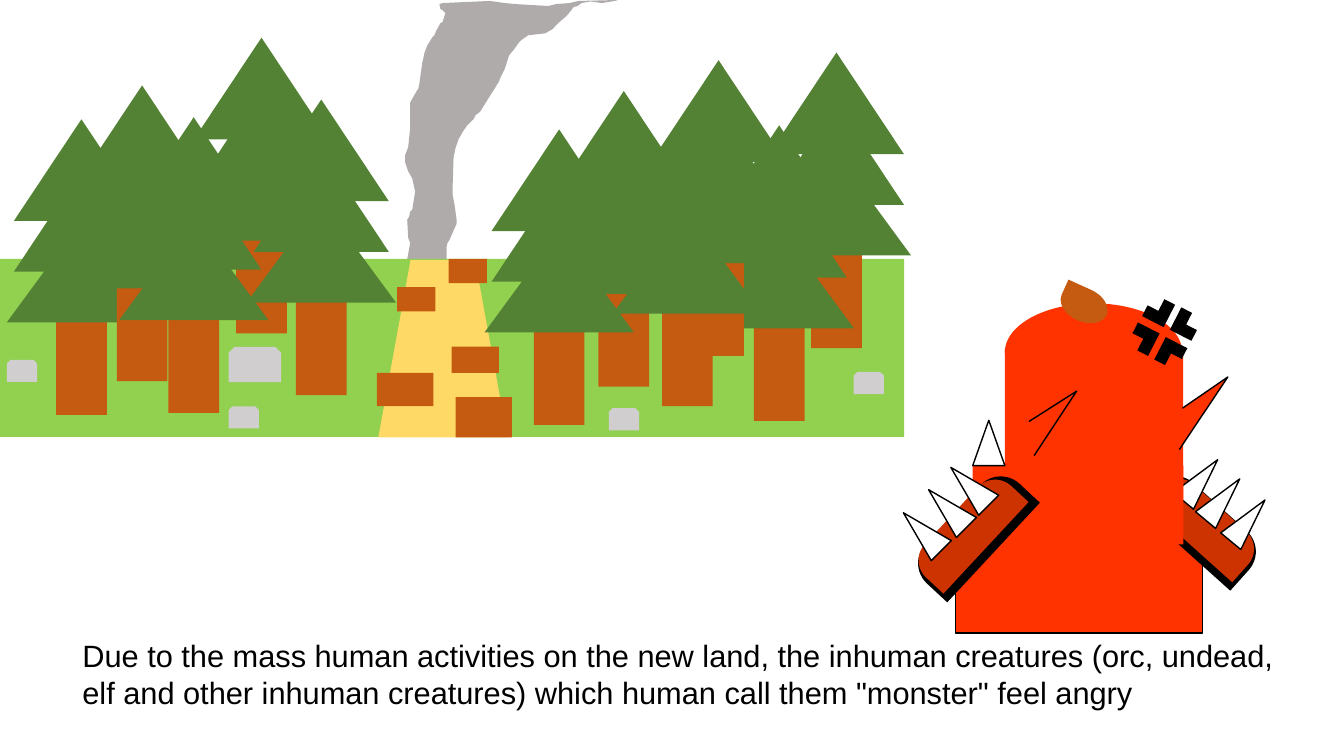
"""Build a slide with a forest road and an angry monster above one caption."""
import pptx
import pptx.dml.color
import pptx.enum.shapes
import pptx.enum.text
import pptx.util

Pt = pptx.util.Pt
RGBColor = pptx.dml.color.RGBColor
SHAPE = pptx.enum.shapes.MSO_SHAPE

BLACK = RGBColor(0x00, 0x00, 0x00)
WHITE = RGBColor(0xFF, 0xFF, 0xFF)
SMOKE = RGBColor(0xAF, 0xAB, 0xAB)
GRASS = RGBColor(0x92, 0xD0, 0x50)
LEAVES = RGBColor(0x54, 0x82, 0x35)
WOOD = RGBColor(0xC5, 0x5A, 0x11)
ROAD = RGBColor(0xFF, 0xD9, 0x66)
STONE = RGBColor(0xD0, 0xCE, 0xCE)
SKIN = RGBColor(0xFF, 0x33, 0x00)
ARM = RGBColor(0xCC, 0x33, 0x00)


def write(shapes, text, left, top, width, height, size=22, font="Arial", color=BLACK):
    box = shapes.add_textbox(Pt(left), Pt(top), Pt(width), Pt(height))
    box.text_frame.word_wrap = True
    box.text_frame.auto_size = pptx.enum.text.MSO_AUTO_SIZE.SHAPE_TO_FIT_TEXT
    span = box.text_frame.paragraphs[0].add_run()
    span.text = text
    span.font.size = Pt(size)
    span.font.name = font
    span.font.color.rgb = color


def paint(shape, fill, outlined=False):
    shape.shadow.inherit = False
    shape.fill.solid()
    shape.fill.fore_color.rgb = fill
    if outlined:
        shape.line.color.rgb = BLACK
        shape.line.width = Pt(1)
    else:
        shape.line.fill.background()


deck = pptx.Presentation()
deck.slide_width = Pt(960)
deck.slide_height = Pt(540)
page = deck.slides.add_slide(deck.slide_layouts[6])

write(page.shapes,
      "Due to the mass human activities on the new land, the inhuman creatures "
      "(orc, undead, elf and other inhuman creatures) which human call them "
      "\"monster\" feel angry", 51.8, 451.4, 893.5, 60.5)

sky = page.shapes.add_group_shape()
forest = page.shapes.add_group_shape()
monster = page.shapes.add_group_shape()
face = page.shapes.add_group_shape()

smoke_outline = [
    (288, 197.3), (310.3, 198), (323.3, 195.8), (322.6, 193), (320.4, 190.8),
    (320.4, 187.9), (319, 185), (319, 176.4), (319.7, 173.5), (321.1, 171.4),
    (323.3, 166.3), (326.2, 159.8), (326.2, 157), (324.7, 146.2), (323.3, 139),
    (323.3, 134.6), (324, 112.3), (325.4, 105.8), (327.6, 99.4), (330.5, 94.3),
    (333.4, 90), (338.4, 85), (339.8, 82.1), (342, 80.6), (343.4, 79.2),
    (345.6, 75.6), (349.2, 69.8), (352.8, 64.1), (356.4, 58.3), (357.8, 54.7),
    (360.7, 49), (363.6, 39.6), (367.2, 35.3), (370.8, 30.2), (372.2, 28.8),
    (377.3, 25.2), (389.5, 23.8), (394.6, 20.9), (396.7, 18.7), (399.6, 15.8),
    (404.6, 11.5), (408.2, 7.2), (409.7, 5), (412.6, 4.3), (415.4, 2.2),
    (422, 1), (429.8, 2.2), (439.2, 0.7), (441.4, 0), (413.3, 0.7),
    (406.8, 2.2), (397.4, 2.9), (391.7, 4.3), (367.9, 2.9), (360.7, 2.2),
    (349.9, 0.7), (316.1, 2.2), (313.9, 2.9), (314.6, 6.5), (316.1, 7.2),
    (318.2, 9.4), (316.1, 15.8), (314.6, 16.6), (311.8, 21.6), (310.3, 25.2),
    (308.9, 26.6), (305.3, 32.4), (303.1, 38.2), (302.4, 41.8), (301.7, 44.6),
    (299.5, 60.5), (298.8, 63.4), (297.4, 65.5), (294.5, 70.6), (293, 73.4),
    (293, 91.4), (292.3, 98.6), (291.6, 105.1), (289.4, 110.9), (289.4, 115.9),
    (291.6, 122.4), (294.5, 127.4), (295.9, 133.9), (296.6, 136.8),
    (294.5, 149.8), (293, 151.2), (292.3, 154.8), (290.9, 157), (291.6, 169.9),
    (293, 173.5), (291.6, 181.4), (290.9, 185), (289.4, 190.8), (289.4, 194.4),
]
left_eye = [(735.1, 301), (769, 279.4), (738.7, 325.4)]
right_eye = [(844.6, 291.6), (877, 269.3), (842.4, 321.1)]

forest_parts = [
    (SHAPE.RECTANGLE, 0, 185, 645.8, 127.1, GRASS),
    (SHAPE.TRAPEZOID, 270.2, 185.8, 92.2, 126.7, ROAD),
]
tree_tops = [(58.2, 85.2), (101.5, 61), (186.8, 26.9), (138.4, 83.7),
             (229.5, 71.1), (597.5, 37.5), (556.6, 89.5), (445.6, 65),
             (513.3, 43), (491, 79), (399.4, 92.4)]
for center, top in tree_tops:
    forest_parts.append((SHAPE.RECTANGLE, center - 18.1, top + 116.2, 36.2, 95, WOOD))
    for tier, width in enumerate((96.5, 96.5, 106.6)):
        forest_parts.append((SHAPE.ISOSCELES_TRIANGLE, center - width / 2,
                             top + 36.2 * tier, width, 72.6, LEAVES))
for brick in [(269.3, 266.4, 40.3, 23.8), (325.4, 283.7, 40.3, 28.8),
              (322.6, 247.7, 33.8, 18.7), (283.7, 205.2, 27.4, 17.3),
              (320.4, 185, 27.4, 17.3)]:
    forest_parts.append((SHAPE.RECTANGLE, *brick, WOOD))
for stone in [(163.4, 290.2, 21.6, 15.8), (609.8, 265.7, 21.6, 15.8),
              (5, 257, 21.6, 15.8), (163.4, 247.7, 37.4, 25.2),
              (434.9, 291.6, 21.6, 15.8)]:
    forest_parts.append((SHAPE.SNIP_2_SAME_RECTANGLE, *stone, STONE))

monster_parts = [
    (SHAPE.RECTANGLE, 682.6, 368.6, 176.4, 83.5, SKIN, True),
    (SHAPE.ROUND_2_SAME_RECTANGLE, 812.9, 357.1, 90.7, 39.6, BLACK, False, 41.9),
    (SHAPE.ROUND_2_SAME_RECTANGLE, 818.6, 358.6, 83.5, 33.8, ARM, False, 41.9),
]
for left, top in [(848.2, 324), (864, 337.7), (882, 352.8)]:
    monster_parts.append((SHAPE.FLOWCHART_EXTRACT, left, top, 18.7, 38.2, WHITE, True, 39.7))
monster_parts += [
    (SHAPE.OVAL, 717.8, 216.7, 126.7, 69.8, SKIN),
    (SHAPE.RECTANGLE, 717.8, 249.1, 127.4, 108, SKIN),
    (SHAPE.RECTANGLE, 694.8, 332.6, 150.5, 56.2, SKIN),
    (SHAPE.ISOSCELES_TRIANGLE, 694.8, 300.2, 23, 32.4, WHITE, True),
    (SHAPE.CORNER, 838.8, 222.5, 17.3, 18, BLACK, False, 27.1),
    (SHAPE.CORNER, 818.6, 213.1, 18, 17.3, BLACK, False, 297.1),
    (SHAPE.CORNER, 807.8, 233.3, 17.3, 18, BLACK, False, 207.1),
    (SHAPE.CORNER, 827.3, 244.1, 18, 17.3, BLACK, False, 117.1),
    (SHAPE.ROUND_2_SAME_RECTANGLE, 646.6, 361.4, 97.2, 39.6, BLACK, False, 312.9),
    (SHAPE.ROUND_2_SAME_RECTANGLE, 647.3, 362.9, 89.3, 33.8, ARM, False, 312.9),
]
for left, top in [(682.6, 328.3), (666.7, 344.2), (648.7, 360.7)]:
    monster_parts.append((SHAPE.FLOWCHART_EXTRACT, left, top, 20.2, 38.2, WHITE, True, 315))
monster_parts.append((SHAPE.TEAR, 762.5, 200.2, 23.8, 35.3, WOOD, False, 294.3))

for group, parts in [(forest, forest_parts), (monster, monster_parts)]:
    for kind, left, top, width, height, fill, *style in parts:
        outlined, rotation = (style + [False, 0][len(style):])
        shape = group.shapes.add_shape(kind, Pt(left), Pt(top), Pt(width), Pt(height))
        paint(shape, fill, outlined)
        shape.rotation = rotation
        if kind == SHAPE.ROUND_2_SAME_RECTANGLE:
            shape.adjustments[0] = 0.5

for group, corners, fill, outlined in [(sky, smoke_outline, SMOKE, False),
                                       (face, left_eye, SKIN, True),
                                       (face, right_eye, SKIN, True)]:
    points = [(Pt(x), Pt(y)) for x, y in corners]
    builder = group.shapes.build_freeform(*points[0])
    builder.add_line_segments(points[1:], close=not outlined)
    paint(builder.convert_to_shape(), fill, outlined)

deck.save("out.pptx")
